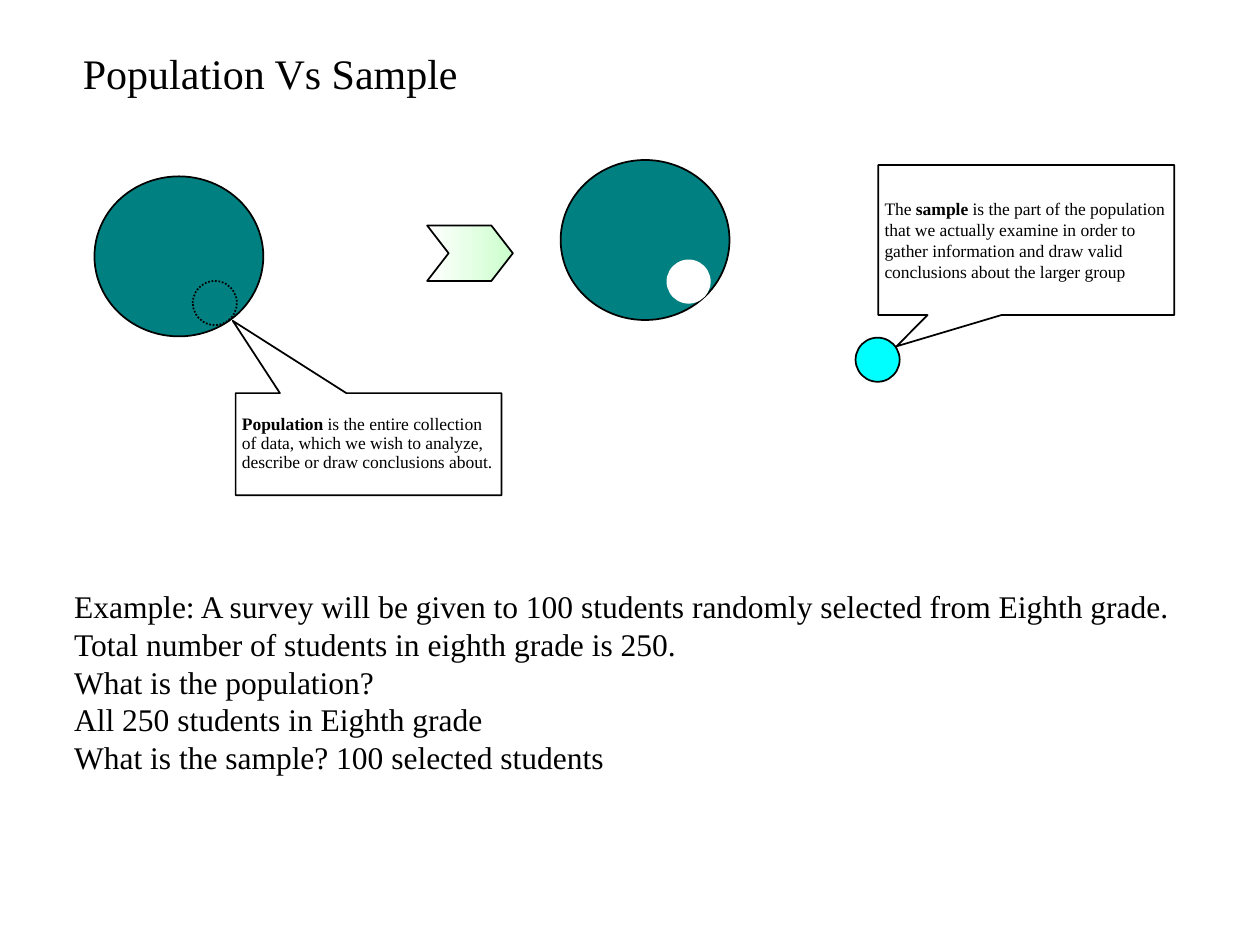
import pptx
import pptx.util
import pptx.dml.color
import pptx.enum.dml
import pptx.enum.shapes
import pptx.enum.text
from lxml import etree

Inches, Pt = pptx.util.Inches, pptx.util.Pt
SHAPE = pptx.enum.shapes.MSO_SHAPE
FONT = "Times New Roman"
BLACK, WHITE, TEAL, CYAN, MINT = "000000", "FFFFFF", "008080", "00FFFF", "CCFFCC"
BIG, SMALL = (1.34, 1.27), (0.35, 0.35)

TITLE = [[("Population Vs Sample", False)]]
EXAMPLE = [[(line, False)] for line in (
    "Example: A survey will be given to 100 students randomly selected from "
    "Eighth grade. Total number of students in eighth grade is 250. ",
    "What is the population?",
    "All 250 students in Eighth grade ",
    "What is the sample? 100 selected students",
)]
POPULATION = [[
    ("Population", True),
    (" is the entire collection of data, which we wish to analyze, "
     "describe or draw conclusions about.", False),
]]
SAMPLE = [[
    ("The ", False),
    ("sample", True),
    (" is the part of the population that we actually examine in order to gather "
     "information and draw valid conclusions about the larger group", False),
]]

# Back to front: preset, (left, top), (width, height), options
SHAPES = [
    (SHAPE.OVAL, (0.75, 1.4), BIG, {"fill": TEAL}),
    (SHAPE.OVAL, (1.53, 2.23), SMALL, {"fill": TEAL, "alpha": 51, "dotted": True}),
    (SHAPE.RECTANGULAR_CALLOUT, (1.87, 3.12), (2.11, 0.81),
     {"adjust": (-0.511, -1.209), "text": POPULATION, "spacing": 0.9}),
    (SHAPE.CHEVRON, (3.39, 1.79), (0.68, 0.44),
     {"adjust": (0.387,), "gradient": (WHITE, MINT)}),
    (SHAPE.OVAL, (4.45, 1.27), BIG, {"fill": TEAL}),
    (SHAPE.OVAL, (5.29, 2.06), SMALL, {"line": None}),
    (SHAPE.RECTANGULAR_CALLOUT, (6.97, 1.31), (2.35, 1.19),
     {"adjust": (-0.438, 0.709), "text": SAMPLE}),
    (SHAPE.OVAL, (6.79, 2.68), SMALL, {"fill": CYAN}),
]


def color(value):
    """Turn a hex string into a colour."""
    return pptx.dml.color.RGBColor.from_string(value)


def apply(target, values):
    """Set attributes from a dict."""
    for name, value in values.items():
        setattr(target, name, value)


def write(frame, paragraphs, size, frame_format, paragraph_format):
    """Fill a text frame with paragraphs of (text, bold) runs."""
    apply(frame, {"word_wrap": True, **frame_format})
    for index, runs in enumerate(paragraphs):
        paragraph = frame.add_paragraph() if index else frame.paragraphs[0]
        apply(paragraph, {"alignment": pptx.enum.text.PP_ALIGN.LEFT, **paragraph_format})
        for text, bold in runs:
            run = paragraph.add_run()
            run.text = text
            apply(run.font, {"name": FONT, "size": Pt(size), "bold": bold})
            run.font.color.rgb = color(BLACK)


def add_text(slide, box, paragraphs, size, frame_format, paragraph_format):
    """Add a text box."""
    textbox = slide.shapes.add_textbox(*map(Inches, box))
    write(textbox.text_frame, paragraphs, size, frame_format, paragraph_format)


def paint(shape, options):
    """Set the fill of a shape: a gradient, or solid with optional opacity."""
    if "gradient" in options:
        shape.fill.gradient()
        shape.fill.gradient_angle = 0
        for stop, position, value in zip(shape.fill.gradient_stops, (0, 1), options["gradient"]):
            apply(stop, {"position": position})
            stop.color.rgb = color(value)
        return
    shape.fill.solid()
    shape.fill.fore_color.rgb = color(options.get("fill", WHITE))
    if "alpha" in options:
        namespace = "{http://schemas.openxmlformats.org/drawingml/2006/main}"
        fill_color = shape.element.spPr.find(f"{namespace}solidFill/{namespace}srgbClr")
        etree.SubElement(fill_color, namespace + "alpha", val=str(options["alpha"] * 1000))


def add_figure(slide, preset, position, size, options):
    """Add one circle, chevron or callout."""
    shape = slide.shapes.add_shape(preset, *map(Inches, position + size))
    shape.shadow.inherit = False
    for index, value in enumerate(options.get("adjust", ())):
        shape.adjustments[index] = value
    paint(shape, options)
    line = options.get("line", BLACK)
    if line:
        shape.line.color.rgb = color(line)
        shape.line.width = Pt(1)
    else:
        shape.line.fill.background()
    if options.get("dotted"):
        shape.line.dash_style = pptx.enum.dml.MSO_LINE.ROUND_DOT
    if "text" in options:
        margins = {f"margin_{side}": Inches(0.05) for side in ("left", "top", "right", "bottom")}
        write(shape.text_frame, options["text"], 10,
              {"vertical_anchor": pptx.enum.text.MSO_ANCHOR.MIDDLE, **margins},
              {"line_spacing": options.get("spacing", 1.0),
               "space_before": Pt(1.8), "space_after": Pt(1.8)})


def build():
    """Build and save the slide."""
    presentation = pptx.Presentation()
    apply(presentation, {"slide_width": Inches(10), "slide_height": Inches(7.5)})
    slide = presentation.slides.add_slide(presentation.slide_layouts[6])
    add_text(slide, (0.56, 0.33, 7, 0.58), TITLE, 24, {}, {"space_before": Pt(4.8)})
    for figure in SHAPES:
        add_figure(slide, *figure)
    add_text(slide, (0.49, 4.61, 9.25, 1.92), EXAMPLE, 18,
             {"auto_size": pptx.enum.text.MSO_AUTO_SIZE.SHAPE_TO_FIT_TEXT}, {})
    presentation.save("out.pptx")


build()
